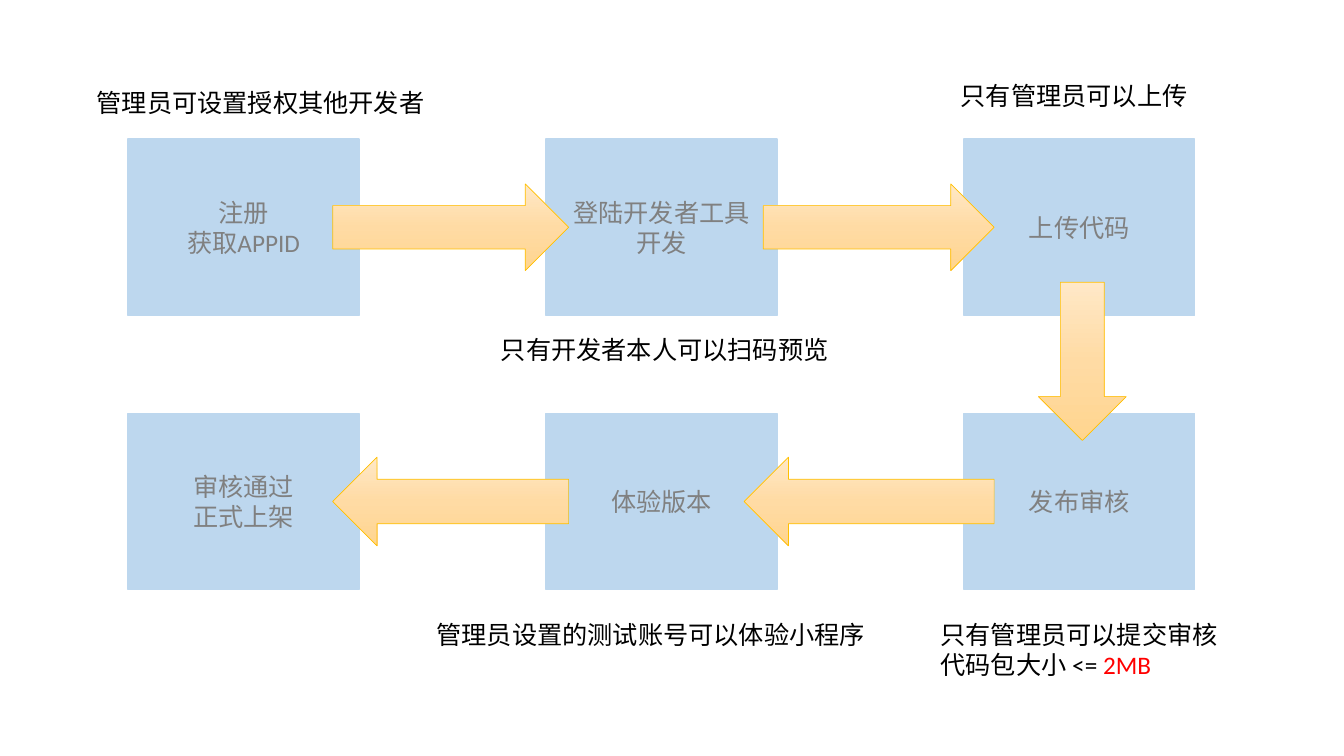
from copy import deepcopy

from pptx import Presentation
from pptx.dml.color import RGBColor
from pptx.enum.shapes import MSO_SHAPE
from pptx.enum.text import MSO_ANCHOR, MSO_AUTO_SIZE, PP_ALIGN
from pptx.oxml.ns import qn
from pptx.util import Inches, Pt

BLUE = RGBColor(0xBD, 0xD7, 0xEE)
GRAY = RGBColor(0x80, 0x80, 0x80)
BLACK = RGBColor(0x00, 0x00, 0x00)
RED = RGBColor(0xFF, 0x00, 0x00)
GOLD = RGBColor(0xFF, 0xC0, 0x00)
ARROW_STOPS = [
    (0, RGBColor(0xFF, 0xE8, 0xC7)),
    (0.5, RGBColor(0xFF, 0xDB, 0xA4)),
    (1, RGBColor(0xFF, 0xD5, 0x8F)),
]

# Steps by grid row; each step is a list of lines
STEPS = [
    [["注册", "获取APPID"], ["登陆开发者工具", "开发"], ["上传代码"]],
    [["审核通过", "正式上架"], ["体验版本"], ["发布审核"]],
]
# Arrows along a row: preset, row, left, width, height
ROW_ARROWS = [
    (MSO_SHAPE.RIGHT_ARROW, 0, 3.3, 2.34, 0.86),
    (MSO_SHAPE.RIGHT_ARROW, 0, 7.57, 2.29, 0.86),
    (MSO_SHAPE.LEFT_ARROW, 1, 7.38, 2.48, 0.88),
    (MSO_SHAPE.LEFT_ARROW, 1, 3.3, 2.34, 0.88),
]
DOWN_ARROW = (10.3, 2.8, 0.87, 1.57)
# Notes: left, top, width, lines made of (text, colour) runs
NOTES = [
    (4.87, 3.27, 3.6, [[("只有开发者本人可以扫码预览", BLACK)]]),
    (9.43, 0.75, 2.62, [[("只有管理员可以上传", BLACK)]]),
    (9.23, 6.09, 3.02, [[("只有管理员可以提交审核", BLACK)],
                        [("代码包大小 <= ", BLACK), ("2MB", RED)]]),
    (0.86, 0.82, 3.61, [[("管理员可设置授权其他开发者", BLACK)]]),
    (4.23, 6.09, 4.65, [[("管理员设置的测试账号可以体验小程序", BLACK)]]),
]

GRID_LEFT, GRID_TOP = 1.27, 1.38
COLUMN_STEP, ROW_STEP = 4.145, 2.72
BOX_WIDTH, BOX_HEIGHT = 2.29, 1.75
LINE_HEIGHT, NOTE_PADDING = 0.3, 0.1
FONT = {"name": "Calibri", "size": Pt(18)}


def write_lines(text_frame, lines, alignment):
    """Write one paragraph per line of (text, colour) runs."""
    text_frame.word_wrap = True
    for index, line in enumerate(lines):
        paragraph = text_frame.paragraphs[0] if index == 0 else text_frame.add_paragraph()
        paragraph.alignment = alignment
        for text, color in line:
            run = paragraph.add_run()
            run.text = text
            for name, value in FONT.items():
                setattr(run.font, name, value)
            run.font.color.rgb = color


def add_outlined(slide, preset, box, line_color, line_width):
    """Add a preset shape without shadow, with the given outline."""
    shape = slide.shapes.add_shape(preset, *map(Inches, box))
    shape.shadow.inherit = False
    shape.line.color.rgb = line_color
    shape.line.width = Pt(line_width)
    return shape


def add_step(slide, row, column, lines):
    """Add a blue step box in its grid cell."""
    box = (GRID_LEFT + column * COLUMN_STEP, GRID_TOP + row * ROW_STEP,
           BOX_WIDTH, BOX_HEIGHT)
    shape = add_outlined(slide, MSO_SHAPE.RECTANGLE, box, BLUE, 1)
    shape.fill.solid()
    shape.fill.fore_color.rgb = BLUE
    shape.text_frame.vertical_anchor = MSO_ANCHOR.MIDDLE
    write_lines(shape.text_frame, [[(line, GRAY)] for line in lines], PP_ALIGN.CENTER)


def add_arrow(slide, preset, box):
    """Add a gold arrow shaded from top to bottom."""
    shape = add_outlined(slide, preset, box, GOLD, 0.5)
    shape.fill.gradient()
    shape.fill.gradient_angle = 270
    stop_list = next(shape.element.spPr.iter(qn("a:gsLst")))
    stop_list.append(deepcopy(stop_list[0]))
    for stop, (position, color) in zip(shape.fill.gradient_stops, ARROW_STOPS):
        stop.color.rgb = color
        stop.position = position


def add_note(slide, left, top, width, lines):
    """Add a text note that grows with its lines."""
    height = LINE_HEIGHT * len(lines) + NOTE_PADDING
    note = slide.shapes.add_textbox(*map(Inches, (left, top, width, height)))
    write_lines(note.text_frame, lines, PP_ALIGN.LEFT)
    note.text_frame.auto_size = MSO_AUTO_SIZE.SHAPE_TO_FIT_TEXT


presentation = Presentation()
presentation.slide_width = Inches(13.33)
presentation.slide_height = Inches(7.5)
slide = presentation.slides.add_slide(presentation.slide_layouts[6])

for row, steps in enumerate(STEPS):
    for column, lines in enumerate(steps):
        add_step(slide, row, column, lines)
for preset, row, left, width, height in ROW_ARROWS:
    row_center = GRID_TOP + row * ROW_STEP + BOX_HEIGHT / 2
    add_arrow(slide, preset, (left, row_center - height / 2, width, height))
add_arrow(slide, MSO_SHAPE.DOWN_ARROW, DOWN_ARROW)
for note in NOTES:
    add_note(slide, *note)

presentation.save("out.pptx")
